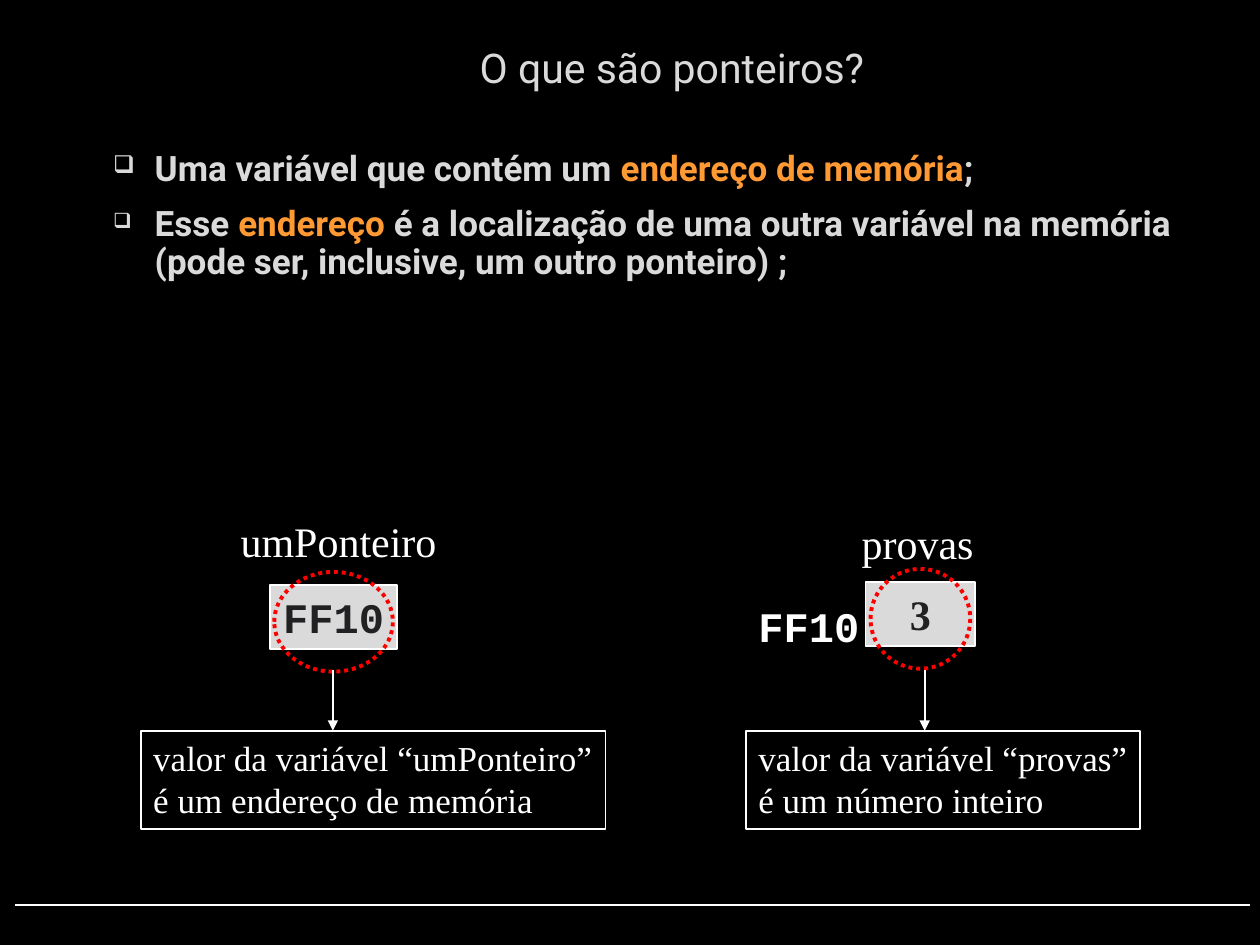
from dataclasses import dataclass

from lxml.etree import SubElement
from pptx import Presentation
from pptx.dml.color import RGBColor
from pptx.enum.dml import MSO_LINE
from pptx.enum.shapes import MSO_CONNECTOR, MSO_SHAPE
from pptx.enum.text import MSO_ANCHOR, PP_ALIGN
from pptx.oxml.ns import qn
from pptx.util import Cm, Pt

COLORS = {
    "background": "000000",
    "text": "DADADA",
    "highlight": "FF9933",
    "white": "FFFFFF",
    "cell_text": "212123",
    "ring": "FF0000",
}
SANS, SERIF, MONO = "Roboto", "Times New Roman", "Courier New"


@dataclass
class Variable:
    name: str
    value: str
    value_font: str
    note: list
    name_box: tuple  # left, top, width
    cell_box: tuple  # left, top, width
    ring_width: float
    arrow_left: float
    note_width: float
    address: str = ""


def color(name):
    return RGBColor.from_string(COLORS[name])


def add_run(paragraph, text, size, font, color_name, bold=False):
    run = paragraph.add_run()
    run.text = text
    run.font.size = Pt(size)
    run.font.name = font
    run.font.bold = bold
    run.font.color.rgb = color(color_name)


def add_line(slide, start, end, arrow=False):
    line = slide.shapes.add_connector(
        MSO_CONNECTOR.STRAIGHT, *(Cm(length) for length in (*start, *end)))
    line.line.color.rgb = color("white")
    line.line.width = Pt(1)
    properties = line._element.spPr
    if arrow:
        SubElement(properties.find(qn("a:ln")), qn("a:tailEnd"), type="triangle")
    SubElement(properties, qn("a:effectLst"))


def add_outlined(slide, kind, box, line_color="white", width=1, fill=None):
    shape = slide.shapes.add_shape(kind, *(Cm(length) for length in box))
    shape.shadow.inherit = False
    if fill:
        shape.fill.solid()
        shape.fill.fore_color.rgb = color(fill)
    else:
        shape.fill.background()
    shape.line.color.rgb = color(line_color)
    shape.line.width = Pt(width)
    return shape


def write_lines(shape, lines, size, font, color_name, bold=False, align=PP_ALIGN.LEFT):
    frame = shape.text_frame
    frame.word_wrap = False
    frame.vertical_anchor = MSO_ANCHOR.TOP
    for index, text in enumerate(lines):
        paragraph = frame.add_paragraph() if index else frame.paragraphs[0]
        paragraph.alignment = align
        add_run(paragraph, text, size, font, color_name, bold)


def add_label(slide, box, text, font, bold=False):
    label = slide.shapes.add_textbox(*(Cm(length) for length in box))
    write_lines(label, [text], 24, font, "white", bold)


def place_title(slide, box, text):
    title = slide.shapes.title
    title.left, title.top, title.width, title.height = (Cm(length) for length in box)
    title.text_frame.vertical_anchor = MSO_ANCHOR.MIDDLE
    paragraph = title.text_frame.paragraphs[0]
    paragraph.alignment = PP_ALIGN.CENTER
    add_run(paragraph, text, 23.4, SANS, "text")


def set_bullet(paragraph, percent):
    properties = paragraph._p.get_or_add_pPr()
    properties.set("marL", str(Cm(0.97)))
    properties.set("indent", str(Cm(-0.84)))
    bullet_color = SubElement(properties, qn("a:buClr"))
    SubElement(bullet_color, qn("a:srgbClr"), val=COLORS["text"])
    SubElement(properties, qn("a:buSzPct"), val=str(percent * 1000))
    SubElement(properties, qn("a:buChar"), char="❑")


def add_definition(slide, box, items):
    """Bulleted list; each item is a bullet size and its (text, color) runs."""
    frame = slide.shapes.add_textbox(*(Cm(length) for length in box)).text_frame
    frame.word_wrap = True
    for index, (bullet_percent, runs) in enumerate(items):
        paragraph = frame.add_paragraph() if index else frame.paragraphs[0]
        paragraph.line_spacing = 0.9
        paragraph.space_before = Pt(4)
        paragraph.space_after = Pt(6)
        set_bullet(paragraph, bullet_percent)
        for text, color_name in runs:
            add_run(paragraph, text, 20, SANS, color_name, bold=True)


def add_variable(slide, left, top, variable):
    """Name, memory cell, ring, arrow and note of one variable."""
    name_left, name_top, name_width = variable.name_box
    add_label(slide, (left + name_left, top + name_top, name_width, 1.27),
              variable.name, SERIF)

    cell_left, cell_top, cell_width = variable.cell_box
    cell = add_outlined(slide, MSO_SHAPE.RECTANGLE,
                        (left + cell_left, top + cell_top, cell_width, 1.3), fill="text")
    write_lines(cell, [variable.value], 24, variable.value_font, "cell_text",
                bold=True, align=PP_ALIGN.CENTER)
    if variable.address:
        add_label(slide, (left, top + 1.73, 2.54, 1.27), variable.address, MONO, bold=True)

    note_top = top + 4.47
    note = add_outlined(slide, MSO_SHAPE.RECTANGLE,
                        (left, note_top, variable.note_width, 1.98))
    write_lines(note, variable.note, 20, SERIF, "white")

    ring_left = left + cell_left + (cell_width - variable.ring_width) / 2
    ring = add_outlined(slide, MSO_SHAPE.OVAL,
                        (ring_left, top + cell_top - 0.26, variable.ring_width, 2.01),
                        "ring", 2.25)
    ring.line.dash_style = MSO_LINE.ROUND_DOT
    arrow_left = left + variable.arrow_left
    add_line(slide, (arrow_left, top + 3.25), (arrow_left, note_top), arrow=True)


def main():
    presentation = Presentation()
    presentation.slide_width, presentation.slide_height = Cm(25.4), Cm(19.05)
    slide = presentation.slides.add_slide(presentation.slide_layouts[5])
    slide.background.fill.solid()
    slide.background.fill.fore_color.rgb = color("background")

    add_line(slide, (0.3, 18.24), (25.2, 18.24))
    place_title(slide, (1.9, 0.71, 23.29, 1.3), "O que são ponteiros?")
    add_definition(slide, (1.9, 2.92, 23.29, 6.2), [
        (70, [("Uma variável que contém um ", "text"),
              ("endereço de memória", "highlight"),
              (";", "text")]),
        (60, [("Esse ", "text"),
              ("endereço", "highlight"),
              (" é a localização de uma outra variável na memória "
               "(pode ser, inclusive, um outro ponteiro) ;", "text")]),
    ])
    add_variable(slide, 2.84, 10.26, Variable(
        "umPonteiro", "FF10", MONO,
        ["valor da variável “umPonteiro”", "é um endereço de memória"],
        name_box=(1.76, 0, 4.47), cell_box=(2.6, 1.53, 2.57),
        ring_width=2.39, arrow_left=3.87, note_width=9.37))
    add_variable(slide, 15.04, 10.26, Variable(
        "provas", "3", SERIF,
        ["valor da variável “provas”", "é um número inteiro"],
        name_box=(2.08, 0.05, 2.77), cell_box=(2.41, 1.47, 2.21),
        ring_width=2.01, arrow_left=3.6, note_width=7.95, address="FF10"))
    presentation.save("out.pptx")


if __name__ == "__main__":
    main()
